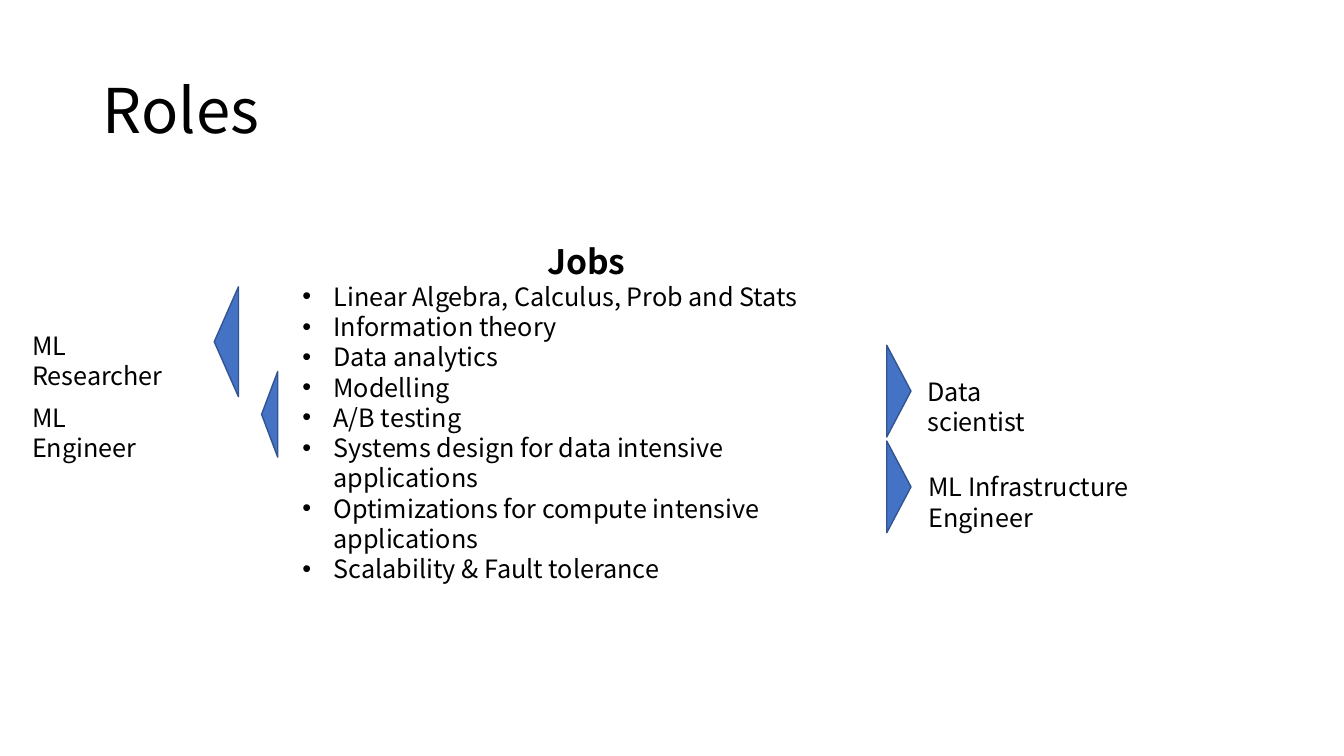
from lxml import etree
from pptx import Presentation
from pptx.dml.color import RGBColor
from pptx.enum import shapes, text
from pptx.oxml import ns
from pptx.util import Inches, Pt

# Content
TITLE = "Roles"
HEADING = "Jobs"
SKILLS = [
    "Linear Algebra, Calculus, Prob and Stats",
    "Information theory",
    "Data analytics",
    "Modelling",
    "A/B testing",
    "Systems design for data intensive applications",
    "Optimizations for compute intensive applications",
    "Scalability & Fault tolerance",
]
# Role, label box, triangle frame before rotation, rotation
ROLES = [
    ("ML Researcher", (0.22, 3.23, 1.8, 0.4), (1.7, 3.27, 1.09, 0.24), 270),
    ("Data scientist", (9.1, 3.68, 1.64, 0.4), (8.46, 3.76, 0.91, 0.24), 90),
    ("ML Engineer", (0.22, 3.94, 1.56, 0.4), (2.25, 4.03, 0.85, 0.16), 270),
    ("ML Infrastructure Engineer", (9.11, 4.63, 3.07, 0.4),
     (8.46, 4.71, 0.91, 0.24), 90),
]
COLORS = {"text": "000000", "fill": "4472C4", "line": "325491"}
FONT = "Noto Sans CJK SC"
LINE_HEIGHT = 1.2
INDENT = 0.31


def color(name):
    return RGBColor.from_string(COLORS[name])


def write(p, words, size, bold=False):
    p.text = words
    font = p.runs[0].font
    font.name, font.size, font.bold = FONT, Pt(size), bold
    font.color.rgb = color("text")
    p.line_spacing = Pt(size * LINE_HEIGHT)


def add_bullet(p):
    pPr = p._p.get_or_add_pPr()
    pPr.set("marL", str(Inches(INDENT)))
    pPr.set("indent", str(-Inches(INDENT)))
    etree.SubElement(pPr, ns.qn("a:buFont"), typeface="Arial")
    etree.SubElement(pPr, ns.qn("a:buChar"), char="•")


def add_text_box(slide, box):
    tf = slide.shapes.add_textbox(*map(Inches, box)).text_frame
    tf.word_wrap = True
    tf.auto_size = text.MSO_AUTO_SIZE.SHAPE_TO_FIT_TEXT
    return tf


def add_triangle(slide, frame, rotation):
    sp = slide.shapes.add_shape(
        shapes.MSO_SHAPE.ISOSCELES_TRIANGLE, *map(Inches, frame))
    sp.rotation = rotation
    sp.shadow.inherit = False
    sp.fill.solid()
    sp.fill.fore_color.rgb = color("fill")
    sp.line.color.rgb = color("line")
    sp.line.width = Pt(1)


def main():
    prs = Presentation()
    prs.slide_width, prs.slide_height = Inches(13.33), Inches(7.5)
    s = prs.slides.add_slide(prs.slide_layouts.get_by_name("Title Only"))

    # Title
    title = s.shapes.title
    title.left, title.top = Inches(0.92), Inches(0.4)
    title.width, title.height = Inches(11.5), Inches(1.45)
    tf = title.text_frame
    tf.auto_size = text.MSO_AUTO_SIZE.NONE
    tf.vertical_anchor = text.MSO_ANCHOR.MIDDLE
    p = tf.paragraphs[0]
    write(p, TITLE, 44)
    p.line_spacing = 0.9
    p.alignment = text.PP_ALIGN.LEFT

    # Skills list
    tf = add_text_box(s, (2.9, 2.34, 5.83, 3.23))
    p = tf.paragraphs[0]
    write(p, HEADING, 24, bold=True)
    p.alignment = text.PP_ALIGN.CENTER
    for skill in SKILLS:
        p = tf.add_paragraph()
        write(p, skill, 18)
        add_bullet(p)

    # Roles with their triangles
    for role, box, frame, rotation in ROLES:
        write(add_text_box(s, box).paragraphs[0], role, 18)
        add_triangle(s, frame, rotation)

    prs.save("out.pptx")


if __name__ == "__main__":
    main()
